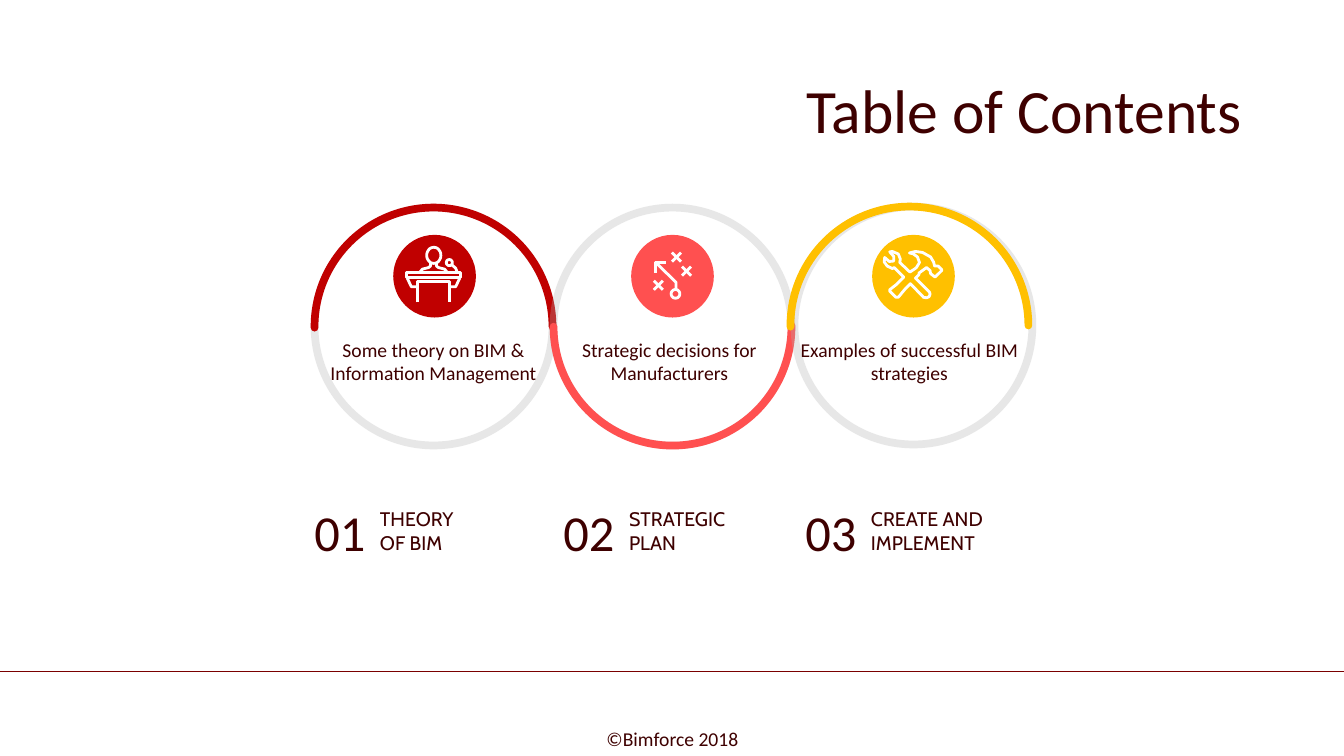
from math import cos, pi, sin

from pptx import Presentation
from pptx.dml.color import RGBColor
from pptx.enum.shapes import MSO_CONNECTOR, MSO_SHAPE
from pptx.enum.text import MSO_ANCHOR, MSO_AUTO_SIZE, PP_ALIGN
from pptx.oxml.ns import qn
from pptx.oxml.xmlchemy import OxmlElement
from pptx.util import Inches, Pt


def color(hex_string):
    return RGBColor.from_string(hex_string)


def loop(x, y, radius_x, radius_y, steps=32):
    """Points of a closed ellipse."""
    angles = [2 * pi * step / steps for step in range(steps)]
    points = [(x + radius_x * cos(a), y + radius_y * sin(a)) for a in angles]
    return points + points[:1]


def cross(x, y, half=4.5):
    return [[(x - half, y - half), (x + half, y + half)],
            [(x - half, y + half), (x + half, y - half)]]


class ContentsSlide:
    ink = "3E0000"
    body_font = "Calibri"
    label_font = "Cabin"
    ring_size = 2.36
    ring_width = 5.5
    disc_size = 0.82

    def __init__(self, presentation):
        self.slide = presentation.slides.add_slide(presentation.slide_layouts[5])
        self.shapes = self.slide.shapes

    def fill_text(self, frame, lines, size, align, font=None):
        frame.word_wrap = True
        for index, line in enumerate(lines):
            paragraph = frame.paragraphs[0] if index == 0 else frame.add_paragraph()
            paragraph.alignment = align
            run = paragraph.add_run()
            run.text = line
            run.font.size = Pt(size)
            run.font.name = font or self.body_font
            run.font.color.rgb = color(self.ink)

    def title(self, text):
        shape = self.shapes.title
        shape.left, shape.top = Inches(0.92), Inches(0.4)
        shape.width, shape.height = Inches(11.5), Inches(1.45)
        shape.text_frame.vertical_anchor = MSO_ANCHOR.MIDDLE
        self.fill_text(shape.text_frame, [text], 44, PP_ALIGN.RIGHT)
        shape.text_frame.paragraphs[0].line_spacing = 0.9

    def text(self, left, top, width, height, lines, size,
             align=PP_ALIGN.LEFT, font=None):
        box = self.shapes.add_textbox(
            Inches(left), Inches(top), Inches(width), Inches(height))
        self.fill_text(box.text_frame, lines, size, align, font)
        box.text_frame.auto_size = MSO_AUTO_SIZE.SHAPE_TO_FIT_TEXT

    def rule(self, top, line_color):
        line = self.shapes.add_connector(
            MSO_CONNECTOR.STRAIGHT, 0, Inches(top), Inches(13.33), Inches(top))
        line.line.color.rgb = color(line_color)
        line.line.width = Pt(0.5)
        line.element.spPr.append(OxmlElement("a:effectLst"))

    def round_shape(self, kind, left, top, size):
        shape = self.shapes.add_shape(
            kind, Inches(left), Inches(top), Inches(size), Inches(size))
        shape.shadow.inherit = False
        return shape

    def stroke(self, shape, line_color, width):
        shape.fill.background()
        shape.line.color.rgb = color(line_color)
        shape.line.width = Pt(width)

    def ring(self, left, top):
        shape = self.round_shape(MSO_SHAPE.OVAL, left, top, self.ring_size)
        self.stroke(shape, "B2B2B2", self.ring_width)
        alpha = OxmlElement("a:alpha")
        alpha.set("val", "30000")
        next(shape.element.spPr.iter(qn("a:srgbClr"))).append(alpha)

    def half_ring(self, left, top, line_color, rotation):
        shape = self.round_shape(MSO_SHAPE.ARC, left, top, self.ring_size)
        shape.adjustments[0] = 107.66
        shape.adjustments[1] = 0
        shape.rotation = rotation
        self.stroke(shape, line_color, self.ring_width)
        shape.element.spPr.find(qn("a:ln")).set("cap", "rnd")

    def disc(self, left, top, fill_color):
        shape = self.round_shape(MSO_SHAPE.OVAL, left, top, self.disc_size)
        shape.fill.solid()
        shape.fill.fore_color.rgb = color(fill_color)
        shape.line.fill.background()

    def icon(self, left, top, strokes):
        """Strokes are in hundredths of an inch from the disc's corner."""
        placed = [[(left * 1000 + x * 10, top * 1000 + y * 10) for x, y in points]
                  for points in strokes]
        builder = self.shapes.build_freeform(*placed[0][0], scale=914.4)
        for index, points in enumerate(placed):
            if index:
                builder.move_to(*points[0])
            builder.add_line_segments(points[1:], close=points[0] == points[-1])
        shape = builder.convert_to_shape()
        shape.shadow.inherit = False
        self.stroke(shape, "FFFFFF", 2)


# Icon outlines
SPEAKER = [
    [(13.5, 37.5), (66.5, 37.5), (66.5, 42.5), (13.5, 42.5), (13.5, 37.5)],
    [(14, 43), (18, 51.5), (24, 51.5)],
    [(24.5, 67), (24.5, 46.5), (55.5, 46.5), (55.5, 67)],
    [(56, 51.5), (62, 51.5), (66, 43)],
    loop(40.3, 20.3, 7, 8),
    [(26.5, 37), (29, 34), (35, 32.5), (37, 31), (37, 28)],
    [(43, 28), (43, 31), (45, 32.5), (51, 34), (53.5, 37)],
    loop(55.7, 27.5, 3, 3),
    [(58.5, 30), (62, 33), (63.5, 37)],
]
TACTICS = [
    *cross(45, 22), *cross(55, 36), *cross(27, 50),
    loop(44, 58.5, 4.3, 4.3),
    [(44.5, 54), (44.5, 47), (24.5, 27.5)],
    [(24.5, 37.5), (24.5, 27.5), (34.5, 27.5)],
]
TOOLS = [[
    (54, 62.5), (51, 62), (38, 48.5), (33, 53.5), (26, 62), (23.5, 62),
    (17.5, 56), (17.5, 54.5), (24.5, 49), (31.5, 42), (22, 32.5), (20, 33.5),
    (15, 31), (12, 27), (12.5, 22.5), (17, 26.5), (21.5, 26), (21.5, 21.5),
    (17.5, 17), (20, 16.5), (26, 19), (28, 24), (27.5, 27.5), (37.5, 37),
    (42, 34), (44, 32.5), (47, 27.5), (45, 22), (41, 19), (37, 18),
    (43, 16.5), (50, 17.5), (58, 22), (61, 27), (62, 31), (65.5, 31),
    (69, 34.5), (69, 35.5), (62.5, 42), (58, 38.5), (57.5, 35.5), (54, 32.5),
    (46.5, 38), (46.5, 39.5), (43, 43), (57, 57), (57.5, 59), (56.5, 61.5),
    (54, 62.5),
]]

# Ring left, arc left, ring top, rotation, colour, disc left, icon,
# caption left, caption, number left, label
CHAPTERS = [
    (3.12, 3.12, 2.06, 0, "C00000", 3.9, SPEAKER, 3.12,
     "Some theory on BIM & Information Management", 3.02, ["THEORY", "OF BIM"]),
    (5.49, 5.49, 2.06, 180, "FF5050", 6.26, TACTICS, 5.46,
     "Strategic decisions for Manufacturers", 5.49, ["STRATEGIC", "PLAN"]),
    (7.88, 7.84, 2.05, 0, "FFC000", 8.65, TOOLS, 7.84,
     "Examples of successful BIM strategies", 7.89, ["CREATE AND", "IMPLEMENT"]),
]


def main():
    presentation = Presentation()
    presentation.slide_width = Inches(13.33)
    presentation.slide_height = Inches(7.5)
    contents = ContentsSlide(presentation)

    # Title and footer
    contents.title("Table of Contents")
    contents.rule(6.66, "7A0000")
    contents.text(4.19, 7.16, 4.96, 0.34, ["©Bimforce 2018"], 14, PP_ALIGN.CENTER)

    # Chapters: ring, icon, caption, number and label
    for number, chapter in enumerate(CHAPTERS, 1):
        (ring_left, arc_left, ring_top, rotation, accent, disc_left, strokes,
         caption_left, caption, number_left, label) = chapter
        contents.ring(ring_left, ring_top)
        contents.half_ring(arc_left, ring_top, accent, rotation)
        contents.disc(disc_left, 2.33, accent)
        contents.icon(disc_left, 2.33, strokes)
        contents.text(caption_left, 3.3, 2.36, 0.57, [caption], 14, PP_ALIGN.CENTER)
        contents.text(number_left, 4.92, 0.87, 0.71, [f"{number:02}"], 36)
        contents.text(number_left + 0.65, 4.98, 1.71, 0.57, label, 14,
                      font=contents.label_font)

    presentation.save("out.pptx")


if __name__ == "__main__":
    main()
